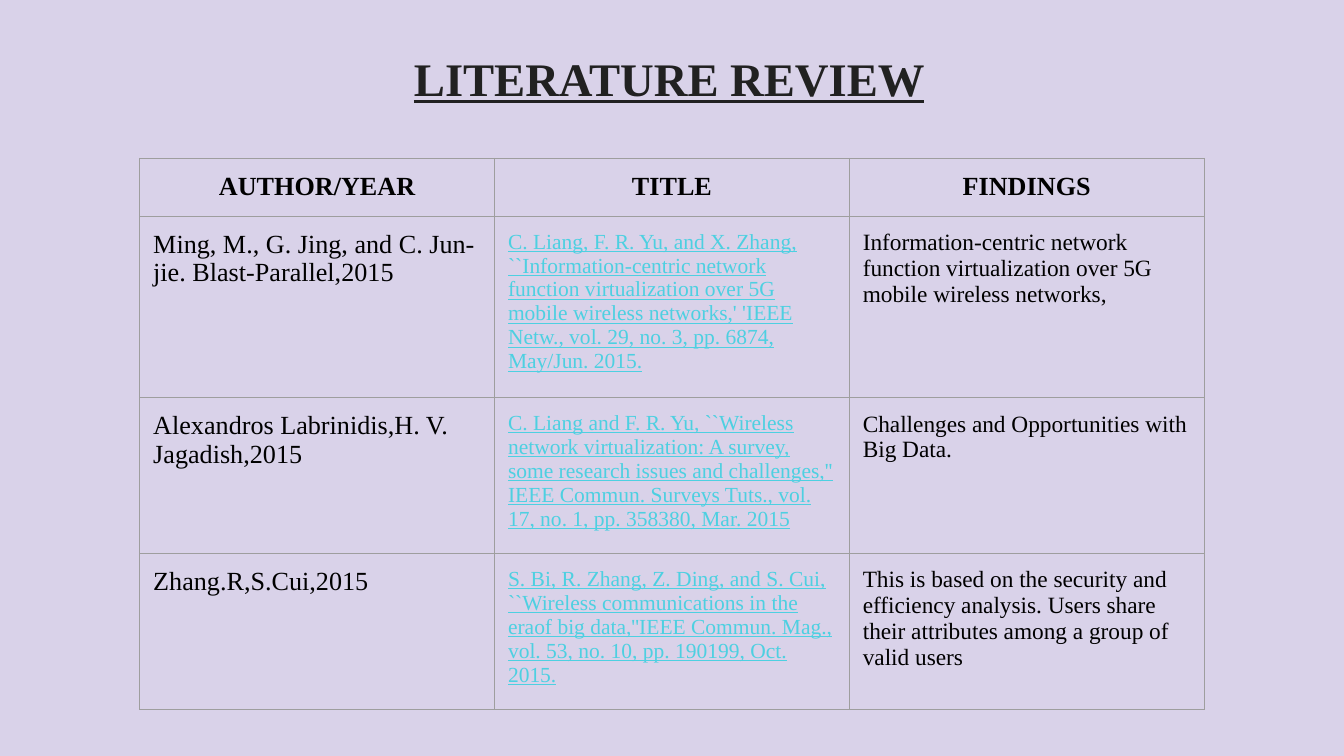
import pptx
import pptx.util
import pptx.dml.color
import pptx.enum.text
import pptx.oxml
import pptx.oxml.ns

Inches = pptx.util.Inches
Pt = pptx.util.Pt
Align = pptx.enum.text.PP_ALIGN
Anchor = pptx.enum.text.MSO_ANCHOR

FONT = "Times New Roman"
BLACK, CYAN, GREY = "000000", "4DD0E1", "9E9E9E"
PAD = Inches(0.1)
WIDE = 10
HIGH = WIDE * 9 / 16

HEADS = ["AUTHOR/YEAR", "TITLE", "FINDINGS"]
PAPERS = [
    ["Ming, M., G. Jing, and C. Jun-jie. Blast-Parallel,2015",
     "C. Liang, F. R. Yu, and X. Zhang, ``Information-centric network function "
     "virtualization over 5G mobile wireless networks,' 'IEEE Netw., vol. 29, "
     "no. 3, pp. 6874, May/Jun. 2015.",
     "Information-centric network function virtualization over 5G mobile "
     "wireless networks,"],
    ["Alexandros Labrinidis,H. V. Jagadish,2015",
     "C. Liang and F. R. Yu, ``Wireless network virtualization: A survey, some "
     "research issues and challenges,'' IEEE Commun. Surveys Tuts., vol. 17, "
     "no. 1, pp. 358380, Mar. 2015",
     "Challenges and Opportunities with Big Data."],
    ["Zhang.R,S.Cui,2015",
     "S. Bi, R. Zhang, Z. Ding, and S. Cui, ``Wireless communications in the "
     "eraof big data,''IEEE Commun. Mag., vol. 53, no. 10, pp. 190199, Oct. 2015.",
     "This is based on the security and efficiency analysis. Users share their "
     "attributes among a group of valid users"],
]
HEIGHTS = [0.43, 1.35, 1.16, 1.16]
# Size, colour and underline of each body column
STYLES = [(14, BLACK, False), (11.5, CYAN, True), (12.5, BLACK, False)]


def paint(text):
    return pptx.dml.color.RGBColor.from_string(text)


def write(frame, text, size, color, bold=False, under=False, align=Align.LEFT):
    frame.text = text
    par = frame.paragraphs[0]
    par.alignment = align
    font = par.runs[0].font
    font.name, font.size = FONT, Pt(size)
    font.bold, font.underline = bold, under
    font.color.rgb = paint(color)


def pad(box):
    box.margin_left = box.margin_right = PAD
    box.margin_top = box.margin_bottom = PAD


def edge(cell):
    props = cell._tc.get_or_add_tcPr()
    for spot, side in enumerate(["lnL", "lnR", "lnT", "lnB"]):
        line = pptx.oxml.parse_xml(
            f'<a:{side} {pptx.oxml.ns.nsdecls("a")} w="{Pt(0.75)}">'
            f'<a:solidFill><a:srgbClr val="{GREY}"/></a:solidFill></a:{side}>')
        props.insert(spot, line)


def add_title(slide):
    title = slide.shapes.title
    title.left, title.top = Inches(2.98), Inches(0.27)
    title.width, title.height = Inches(4.05), Inches(0.62)
    frame = title.text_frame
    pad(frame)
    frame.word_wrap = True
    frame.auto_size = pptx.enum.text.MSO_AUTO_SIZE.NONE
    frame.vertical_anchor = Anchor.TOP
    write(frame, "LITERATURE REVIEW", 25, "212121", bold=True, under=True)


def add_grid(slide):
    rows = [HEADS] + PAPERS
    table = slide.shapes.add_table(
        len(rows), len(HEADS), Inches(1.04), Inches(1.18),
        Inches(7.92), Inches(sum(HEIGHTS))).table
    table.first_row = table.horz_banding = False
    for row, height in zip(table.rows, HEIGHTS):
        row.height = Inches(height)
    for r, texts in enumerate(rows):
        for c, text in enumerate(texts):
            cell = table.cell(r, c)
            pad(cell)
            cell.vertical_anchor = Anchor.TOP
            cell.fill.background()
            edge(cell)
            if r == 0:
                write(cell.text_frame, text, 14, BLACK, bold=True,
                      align=Align.CENTER)
            else:
                size, color, under = STYLES[c]
                write(cell.text_frame, text, size, color, under=under)


def main():
    deck = pptx.Presentation()
    deck.slide_width, deck.slide_height = Inches(WIDE), Inches(HIGH)
    slide = deck.slides.add_slide(deck.slide_layouts[5])
    # Lilac background
    fill = slide.background.fill
    fill.solid()
    fill.fore_color.rgb = paint("D9D2E9")
    # Heading and table of papers
    add_title(slide)
    add_grid(slide)
    deck.save("out.pptx")


if __name__ == "__main__":
    main()
